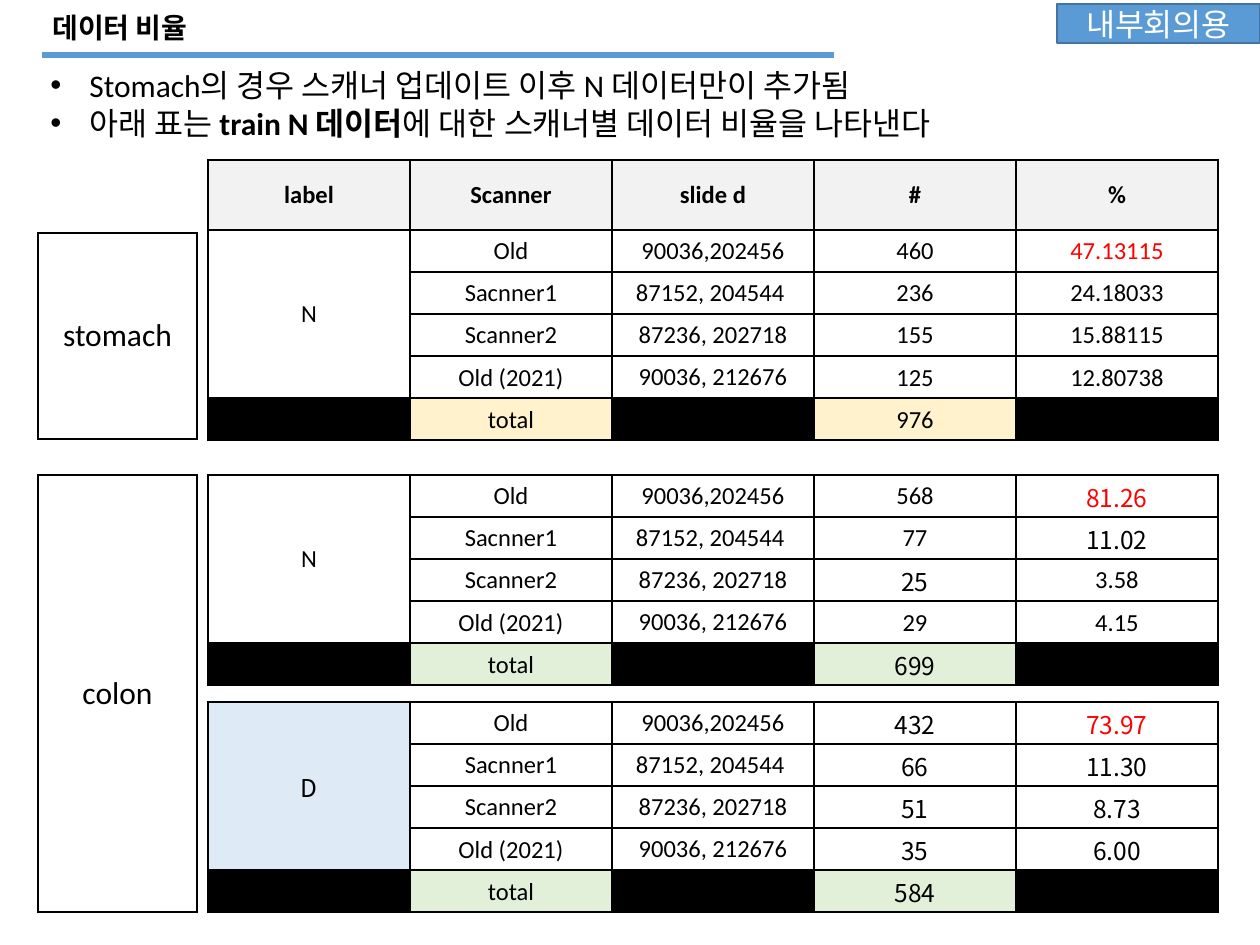
from lxml import etree
from pptx import Presentation
from pptx import util as u
from pptx.dml.color import RGBColor
from pptx.enum import shapes, text
from pptx.oxml.ns import qn

COLORS = {
    "black": "000000", "white": "FFFFFF", "red": "FF0000", "header": "F2F2F2",
    "yellow": "FFF2CC", "green": "E2F0D9", "pale": "DEEBF7",
    "blue": "5B9BD5", "edge": "43739E",
}
LATIN, KOREAN = "Calibri", "Noto Sans CJK KR"
SCANNERS = [
    ("Old", "90036,202456"),
    ("Sacnner1", "87152, 204544 "),
    ("Scanner2", "87236, 202718"),
    ("Old (2021)", "90036, 212676"),
]
KOREAN_FONT_VALUES = {
    "81.26", "11.02", "25", "699", "D", "432", "66", "51", "35", "584",
    "73.97", "11.30", "8.73", "6.00",
}
TABLE_LEFT, COLUMN, ROW, HEADER_ROW = 208, 202, 42, 70
LABEL_LEFT, LABEL_WIDTH = 38, 159


def px(length):
    return u.Emu(round(length * 914400 / 126))


def rgb(name):
    return RGBColor.from_string(COLORS[name])


def apply(target, values):
    for name, value in values.items():
        setattr(target, name, value)


class SlideBuilder:
    centred = {"alignment": text.PP_ALIGN.CENTER}
    tight = {"margin_left": px(1), "margin_right": px(1),
             "margin_top": px(1), "margin_bottom": px(0)}

    def __init__(self, slide):
        self.slide = slide

    def run(self, paragraph, words, size, color="black", bold=False, font=LATIN):
        run = paragraph.add_run()
        run.text = words
        apply(run.font, {"size": u.Pt(size), "bold": bold, "name": font})
        run.font.color.rgb = rgb(color)
        etree.SubElement(run.font._element, qn("a:ea"), typeface=KOREAN)

    def title(self, box, words):
        title = self.slide.shapes.title
        apply(title, dict(zip(("left", "top", "width", "height"), map(px, box))))
        apply(title.text_frame, {
            "word_wrap": True, "vertical_anchor": text.MSO_ANCHOR.TOP,
            "auto_size": text.MSO_AUTO_SIZE.SHAPE_TO_FIT_TEXT})
        paragraph = title.text_frame.paragraphs[0]
        paragraph.alignment = text.PP_ALIGN.LEFT
        self.run(paragraph, words, 16, bold=True)

    def bullets(self, box, items):
        frame = self.slide.shapes.add_textbox(*map(px, box)).text_frame
        apply(frame, {"word_wrap": True,
                      "auto_size": text.MSO_AUTO_SIZE.SHAPE_TO_FIT_TEXT})
        for index, parts in enumerate(items):
            paragraph = frame.add_paragraph() if index else frame.paragraphs[0]
            properties = paragraph._p.get_or_add_pPr()
            properties.set("marL", str(px(39)))
            properties.set("indent", str(-px(39)))
            etree.SubElement(properties, qn("a:buFont"), typeface="Arial")
            etree.SubElement(properties, qn("a:buChar"), char="•")
            for words, bold in parts:
                self.run(paragraph, words, 18, bold=bold)

    def rule(self, start, end, color, weight):
        rule = self.slide.shapes.add_connector(
            shapes.MSO_CONNECTOR.STRAIGHT, *map(px, start + end))
        rule.line.color.rgb = rgb(color)
        rule.line.width = u.Pt(weight)
        etree.SubElement(rule._element.spPr, qn("a:effectLst"))

    def badge(self, box, words):
        badge = self.slide.shapes.add_shape(
            shapes.MSO_SHAPE.RECTANGLE, *map(px, box))
        badge.shadow.inherit = False
        badge.fill.solid()
        badge.fill.fore_color.rgb = rgb("blue")
        badge.line.color.rgb = rgb("edge")
        badge.line.width = u.Pt(1)
        badge.text_frame.vertical_anchor = text.MSO_ANCHOR.MIDDLE
        paragraph = badge.text_frame.paragraphs[0]
        apply(paragraph, self.centred)
        self.run(paragraph, words, 18, "white")

    def cell(self, cell, words="", fill=None, size=14, color="black", bold=False):
        cell.vertical_anchor = text.MSO_ANCHOR.MIDDLE
        properties = cell._tc.get_or_add_tcPr()
        for side in ("lnL", "lnR", "lnT", "lnB"):
            border = etree.SubElement(properties, qn(f"a:{side}"), w=str(u.Pt(1)))
            solid = etree.SubElement(border, qn("a:solidFill"))
            etree.SubElement(solid, qn("a:srgbClr"), val=COLORS["black"])
        if fill:
            cell.fill.solid()
            cell.fill.fore_color.rgb = rgb(fill)
        else:
            cell.fill.background()
        if words:
            paragraph = cell.text_frame.paragraphs[0]
            apply(paragraph, self.centred)
            font = KOREAN if words in KOREAN_FONT_VALUES else LATIN
            self.run(paragraph, words, size, color, bold, font)

    def grid(self, left, top, widths, heights):
        table = self.slide.shapes.add_table(
            len(heights), len(widths), px(left), px(top),
            px(sum(widths)), px(sum(heights))).table
        apply(table, {"first_row": False, "horz_banding": False})
        for column, width in zip(table.columns, widths):
            column.width = px(width)
        for row, height in zip(table.rows, heights):
            row.height = px(height)
        return table

    def organ(self, top, height, words):
        table = self.grid(LABEL_LEFT, top, [LABEL_WIDTH], [height])
        self.cell(table.cell(0, 0), words, size=18)

    def ratios(self, top, label, counts, percents, total, total_fill,
               label_fill="white", header=()):
        rows = [list(header)] if header else []
        first = len(rows)
        for scanner, count, percent in zip(SCANNERS, counts, percents):
            rows.append(["", *scanner, count, percent])
        rows[first][0] = label
        rows.append(["", "total", "", total, ""])
        last = len(rows) - 1
        heights = [HEADER_ROW] * first + [ROW] * (len(rows) - first)
        table = self.grid(TABLE_LEFT, top, [COLUMN] * 5, heights)
        for r, row in enumerate(rows):
            for c, words in enumerate(row):
                cell = table.cell(r, c)
                if not (c == 2 and first < r < last):
                    apply(cell, self.tight)
                if r < first:
                    fill = "header"
                elif r == last:
                    fill = total_fill if words else "black"
                else:
                    fill = label_fill if c == 0 else "white"
                color = "red" if r == first and c == 4 else "black"
                self.cell(cell, words, fill, color=color, bold=r < first)
        table.cell(first, 0).merge(table.cell(last - 1, 0))


def main():
    deck = Presentation()
    deck.slide_width, deck.slide_height = px(1260), px(945)
    page = SlideBuilder(deck.slides.add_slide(deck.slide_layouts[5]))
    page.title((40, 4, 822, 47), "데이터 비율")
    page.rule((42, 55), (834, 55), "blue", 3)
    page.badge((1057, 4, 203, 39), "내부회의용")
    page.bullets((38, 60, 1016, 89), [
        [("Stomach의 경우 스캐너 업데이트 이후 N 데이터만이 추가됨", False)],
        [("아래 표는 ", False), ("train N 데이터", True),
         ("에 대한 스캐너별 데이터 비율을 나타낸다", False)],
    ])
    page.organ(233, 206, "stomach")
    page.organ(475, 437, "colon")
    page.ratios(160, "N", ["460", "236", "155", "125"],
                ["47.13115", "24.18033", "15.88115", "12.80738"],
                "976", "yellow",
                header=("label", "Scanner", "slide d", "#", "%"))
    page.ratios(475, "N", ["568", "77", "25", "29"],
                ["81.26", "11.02", "3.58", "4.15"], "699", "green")
    page.ratios(702, "D", ["432", "66", "51", "35"],
                ["73.97", "11.30", "8.73", "6.00"], "584", "green", "pale")
    deck.save("out.pptx")


if __name__ == "__main__":
    main()
